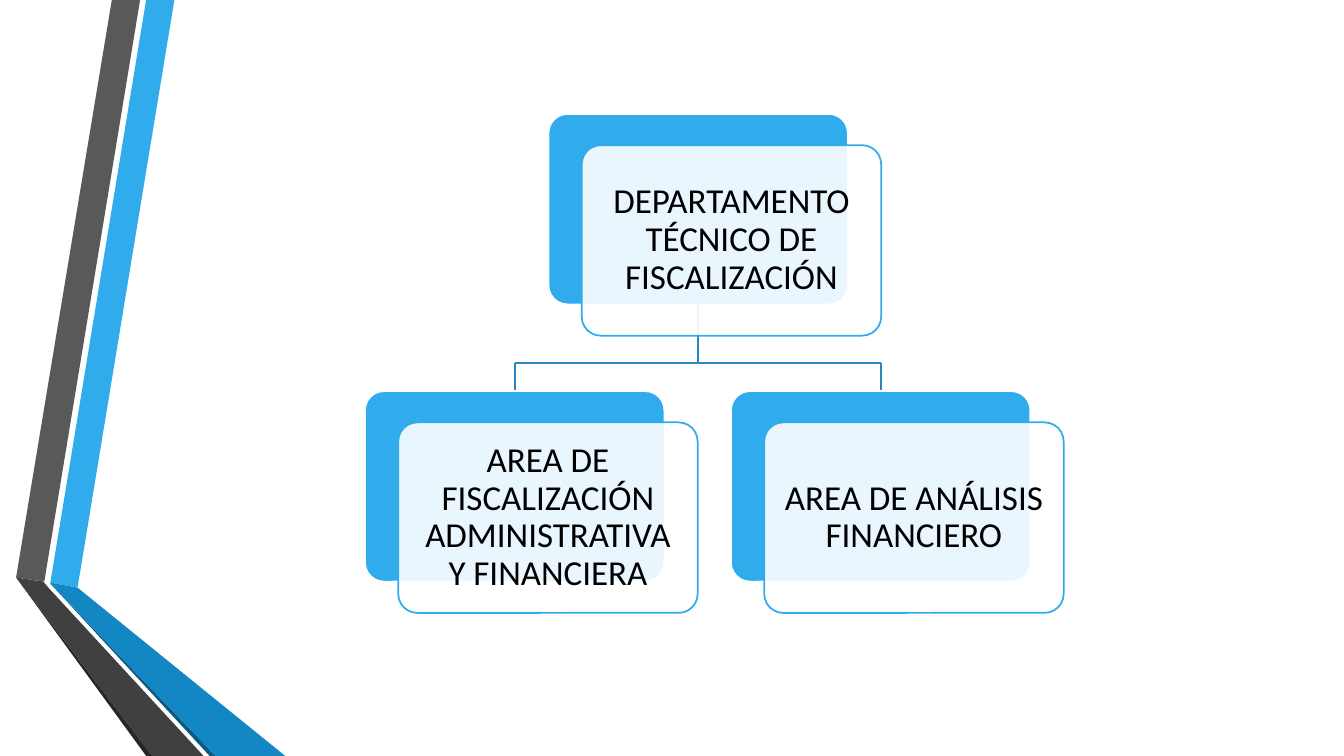
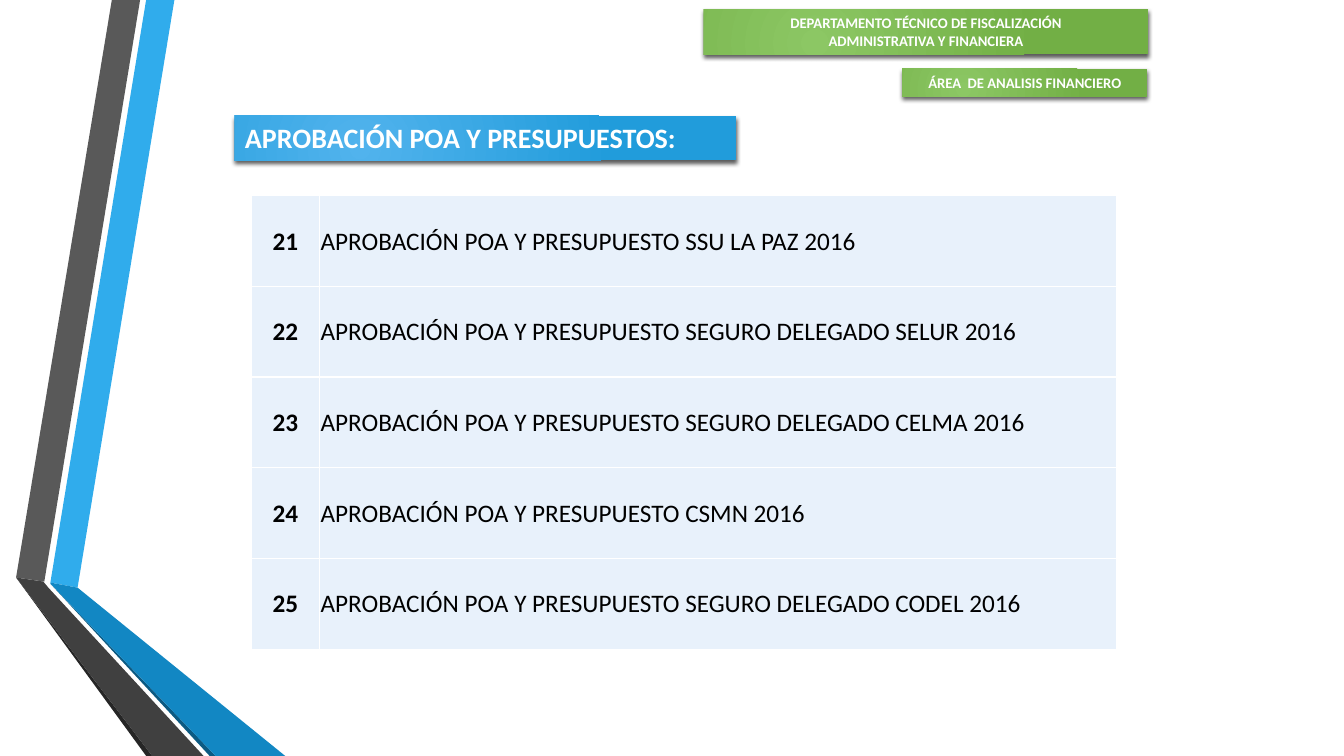
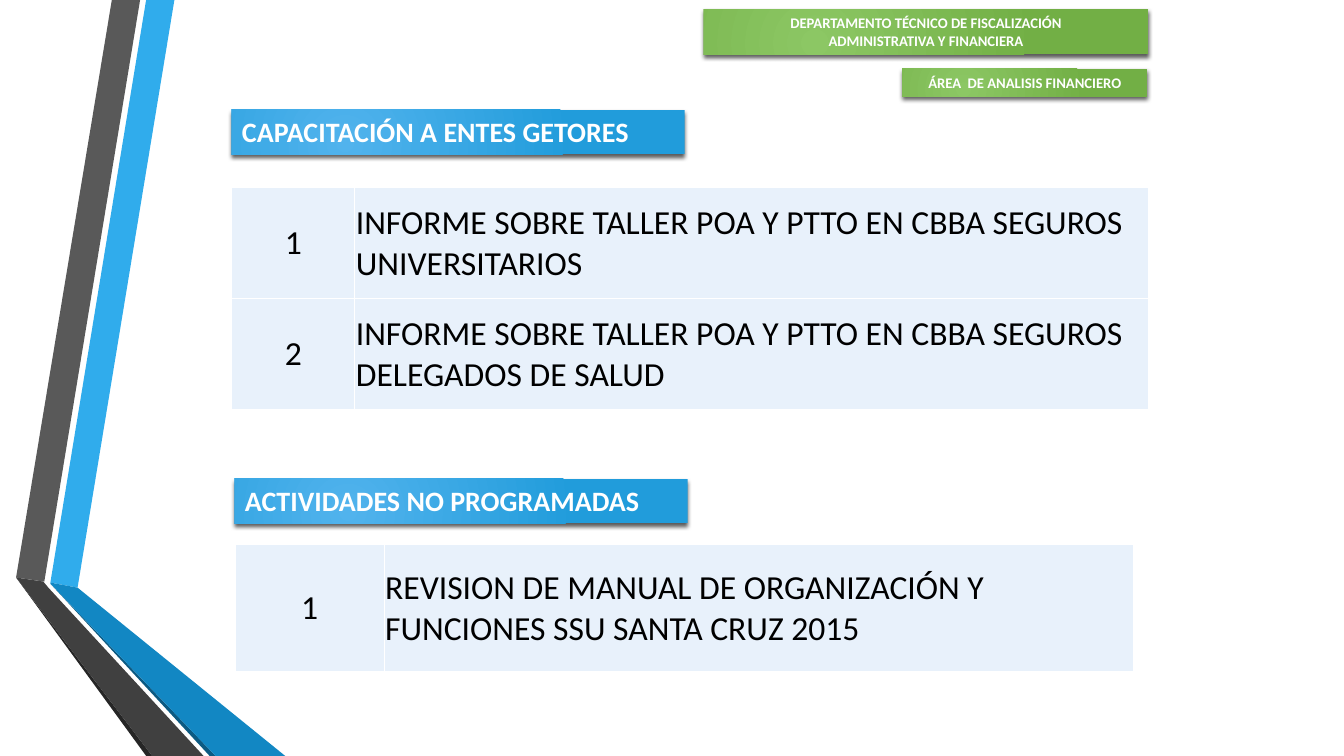
"""Build three slides on the technical audit department and its tasks."""
import pptx
import pptx.dml.color
import pptx.enum.shapes
import pptx.enum.text
import pptx.oxml
import pptx.oxml.ns
import pptx.util

Inches = pptx.util.Inches
Pt = pptx.util.Pt
Align = pptx.enum.text.PP_ALIGN
Anchor = pptx.enum.text.MSO_ANCHOR
Shape = pptx.enum.shapes.MSO_SHAPE
qn = pptx.oxml.ns.qn
NS = pptx.oxml.ns.nsdecls("a")
FONT = "Calibri"
HEX = {
    "sky": "30ACEC", "blue": "1287C3", "navy": "0C5A82", "wire": "268ABD",
    "gray": "595959", "dark": "404040", "coal": "262626",
    "white": "FFFFFF", "black": "000000", "cell": "E8F1FB",
    "lime": "8CC764", "green": "72AF45", "azure": "51B3ED", "deep": "219CDB",
}
RGB = {name: pptx.dml.color.RGBColor.from_string(code) for name, code in HEX.items()}


def banner(shape, box, lines, size, align, tones):
    """Turn a shape into a shaded heading with white bold text."""
    shape.left, shape.top, shape.width, shape.height = [Inches(n) for n in box]
    shape.fill.gradient()
    for stop, tone in zip(shape.fill.gradient_stops, tones):
        stop.color.rgb = RGB[tone]
    grad = shape.element.spPr.find(qn("a:gradFill"))
    grad.replace(grad.find(qn("a:lin")), pptx.oxml.parse_xml(
        f'<a:path {NS} path="circle"><a:fillToRect l="50000" t="100000" '
        'r="100000" b="50000"/></a:path>'))
    shape.line.fill.background()
    shape.shadow.inherit = False
    shape.element.spPr.find(qn("a:effectLst")).append(pptx.oxml.parse_xml(
        f'<a:outerShdw {NS} blurRad="38100" dist="25400" dir="5400000" rotWithShape="0">'
        f'<a:srgbClr val="{HEX["black"]}"><a:alpha val="64000"/></a:srgbClr></a:outerShdw>'))
    frame = shape.text_frame
    frame.text = "\n".join(lines)
    frame.word_wrap = True
    frame.vertical_anchor = Anchor.TOP
    frame.auto_size = pptx.enum.text.MSO_AUTO_SIZE.NONE
    for para in frame.paragraphs:
        para.alignment = align
        para.font.name, para.font.size, para.font.bold = FONT, Pt(size), True
        para.font.color.rgb = RGB["white"]


def grid(slide, left, top, cols, high, rows, size, bold):
    """Add a table of numbered tasks."""
    holder = slide.shapes.add_table(
        len(rows), 2, Inches(left), Inches(top),
        Inches(sum(cols)), Inches(high * len(rows)))
    table = holder.table
    table.first_row = table.horz_banding = False
    for col, wide in zip(table.columns, cols):
        col.width = Inches(wide)
    for row, texts in zip(table.rows, rows):
        row.height = Inches(high)
        for n, (cell, text) in enumerate(zip(row.cells, texts)):
            cell.text = text
            cell.vertical_anchor = Anchor.MIDDLE
            cell.margin_left = cell.margin_right = cell.margin_top = Inches(0.01)
            cell.margin_bottom = 0
            cell.fill.solid()
            cell.fill.fore_color.rgb = RGB["cell"]
            para = cell.text_frame.paragraphs[0]
            para.alignment = Align.LEFT if n else Align.CENTER
            para.font.name, para.font.size = FONT, Pt(size)
            para.font.bold = bold and n == 0
            para.font.color.rgb = RGB["black"]
    for props in list(holder.element.iter(qn("a:tcPr"))):
        for spot, side in enumerate("LRTB"):
            props.insert(spot, pptx.oxml.parse_xml(
                f'<a:ln{side} {NS} w="12700"><a:solidFill>'
                f'<a:srgbClr val="{HEX["white"]}"/></a:solidFill></a:ln{side}>'))


deck = pptx.Presentation()
deck.slide_width, deck.slide_height = Inches(13.33), Inches(7.5)
blank, titled = deck.slide_layouts[6], deck.slide_layouts[5]
chart = deck.slides.add_slide(blank)

ribbons = [
    ("sky", [(0.5, 5.78), (0.77, 5.83), (1.73, 0), (1.45, 0)]),
    ("gray", [(1.39, 0), (1.11, 0), (0.16, 5.73), (0.44, 5.77)]),
    ("coal", [(0.16, 5.73), (1.45, 7.5), (1.51, 7.5)]),
    ("navy", [(0.5, 5.79), (2.08, 7.5), (2.14, 7.5)]),
    ("blue", [(0.5, 5.79), (2.14, 7.5), (2.83, 7.5), (0.77, 5.83), (0.5, 5.78)]),
    ("dark", [(2.02, 7.5), (0.48, 5.83), (0.43, 5.77), (0.16, 5.73), (1.51, 7.5)]),
]
for n, (tone, points) in enumerate(ribbons):
    first, *rest = [(Inches(x), Inches(y)) for x, y in points]
    pen = chart.shapes.build_freeform(*first)
    pen.add_line_segments(rest, close=True)
    band = pen.convert_to_shape()
    band.fill.solid()
    band.fill.fore_color.rgb = RGB[tone]
    band.line.fill.background()
    band.shadow.inherit = False
    band.element.nvSpPr.cNvPr.set("id", str(20 + n))
    deck.slide_master.shapes.element.append(band.element)

wide, high, bar = 2.97, 1.89, 3.6
units = [
    (5.44, 1.13, "DEPARTAMENTO TÉCNICO DE FISCALIZACIÓN"),
    (3.62, 3.88, "AREA DE FISCALIZACIÓN ADMINISTRATIVA Y FINANCIERA"),
    (7.25, 3.88, "AREA DE ANÁLISIS FINANCIERO"),
]
backs = []
for left, top, text in units:
    pair = []
    for dx, dy, tone, edge in [(0, 0, "sky", "white"), (0.33, 0.31, "white", "sky")]:
        card = chart.shapes.add_shape(
            Shape.ROUNDED_RECTANGLE, Inches(left + dx), Inches(top + dy),
            Inches(wide), Inches(high))
        card.adjustments[0] = 0.1
        card.fill.solid()
        card.fill.fore_color.rgb = RGB[tone]
        card.line.color.rgb = RGB[edge]
        card.line.width = Pt(1.25)
        card.shadow.inherit = False
        pair.append(card)
    back, front = pair
    backs.append(back)
    tint = front.element.spPr.find(qn("a:solidFill")).find(qn("a:srgbClr"))
    tint.append(pptx.oxml.parse_xml(f'<a:alpha {NS} val="90000"/>'))
    frame = front.text_frame
    frame.text = text
    frame.word_wrap = True
    frame.vertical_anchor = Anchor.MIDDLE
    frame.margin_left = frame.margin_right = Inches(0.15)
    frame.margin_top = frame.margin_bottom = Inches(0.15)
    para = frame.paragraphs[0]
    para.alignment = Align.CENTER
    para.line_spacing = 0.9
    para.font.name, para.font.size = FONT, Pt(25)
    para.font.color.rgb = RGB["black"]

mids = [left + wide / 2 for left, top, text in units]
wires = [
    (mids[0], units[0][1] + high, mids[0], bar, backs[0], None),
    (mids[1], bar, mids[2], bar, None, None),
    (mids[1], bar, mids[1], units[1][1], None, backs[1]),
    (mids[2], bar, mids[2], units[2][1], None, backs[2]),
]
for *ends, start, stop in wires:
    wire = chart.shapes.add_connector(
        pptx.enum.shapes.MSO_CONNECTOR.STRAIGHT, *[Inches(n) for n in ends])
    if start:
        wire.begin_connect(start, 2)
    if stop:
        wire.end_connect(stop, 0)
    wire.line.color.rgb = RGB["wire"]
    wire.line.width = Pt(1.25)
    wire.element.spPr.append(pptx.oxml.parse_xml(f"<a:effectLst {NS}/>"))
    chart.shapes.element.insert(2, wire.element)

budget = deck.slides.add_slide(titled)
training = deck.slides.add_slide(titled)
labels = [
    ((6.98, 0.09, 4.41, 0.45),
     ["DEPARTAMENTO TÉCNICO DE FISCALIZACIÓN", "ADMINISTRATIVA Y FINANCIERA"]),
    ((8.95, 0.68, 2.43, 0.28), ["ÁREA  DE ANALISIS FINANCIERO"]),
]
heads = [
    (budget, (2.33, 1.15, 4.97, 0.44), "APROBACIÓN POA Y PRESUPUESTOS:"),
    (training, (2.3, 1.09, 4.49, 0.44), "CAPACITACIÓN A ENTES GETORES"),
]
for slide, box, text in heads:
    for place, lines in labels:
        label = slide.shapes.add_shape(Shape.RECTANGLE, 0, 0, 0, 0)
        banner(label, place, lines, 10.5, Align.CENTER, ("lime", "green"))
    banner(slide.shapes.title, box, [text], 20, Align.LEFT, ("azure", "deep"))

extra = training.shapes.add_shape(Shape.RECTANGLE, 0, 0, 0, 0)
banner(extra, (2.33, 4.75, 4.49, 0.44), ["ACTIVIDADES NO PROGRAMADAS"],
       20, Align.LEFT, ("azure", "deep"))

plans = ["SSU LA PAZ", "SEGURO DELEGADO SELUR", "SEGURO DELEGADO CELMA",
         "CSMN", "SEGURO DELEGADO CODEL"]
tasks = [(str(n), f"APROBACIÓN POA Y PRESUPUESTO {plan} 2016")
         for n, plan in enumerate(plans, 21)]
grid(budget, 2.49, 1.94, (0.68, 7.9), 0.9, tasks, 18, True)

groups = ["UNIVERSITARIOS", "DELEGADOS DE SALUD"]
talks = [(str(n), f"INFORME SOBRE TALLER POA Y PTTO EN CBBA SEGUROS {group}")
         for n, group in enumerate(groups, 1)]
grid(training, 2.3, 1.86, (1.22, 7.87), 1.1, talks, 24, False)
grid(training, 2.33, 5.4, (1.48, 7.43), 1.26,
     [("1", "REVISION DE MANUAL DE ORGANIZACIÓN Y FUNCIONES SSU SANTA CRUZ 2015")],
     24, False)

deck.save("out.pptx")
